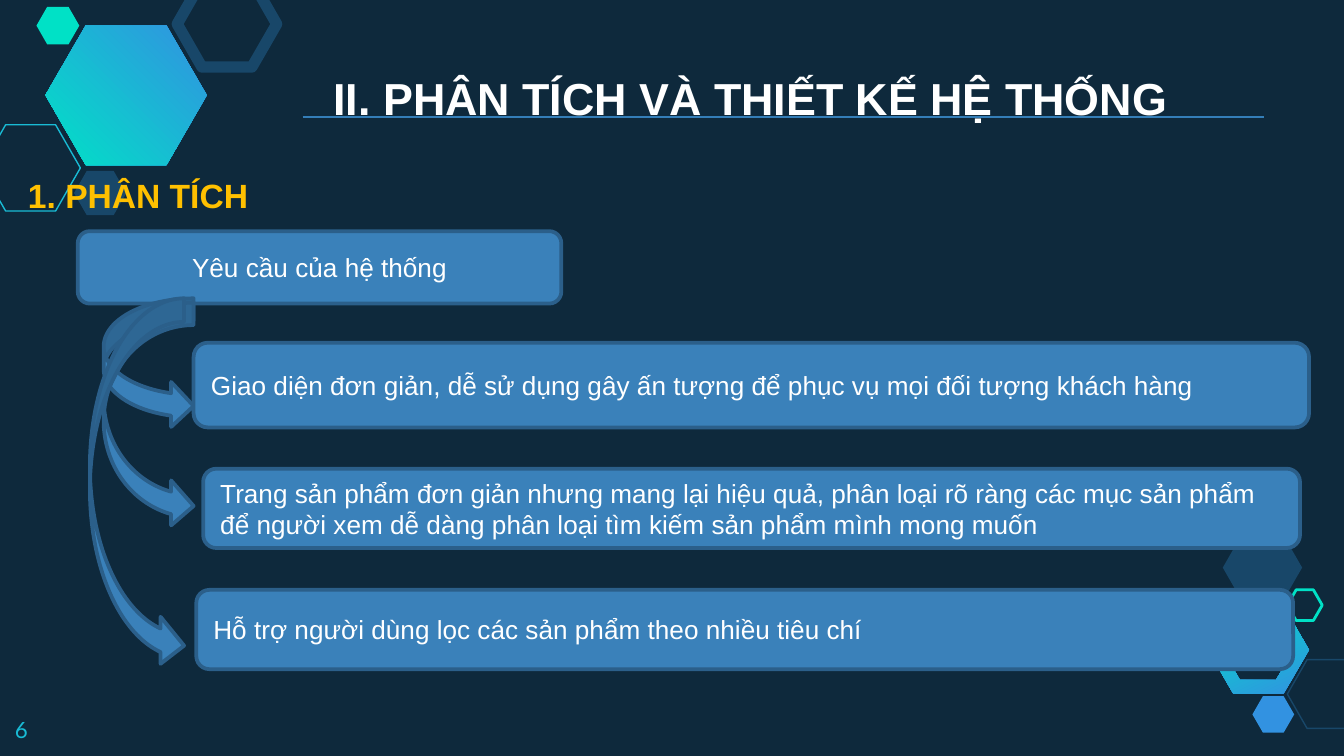
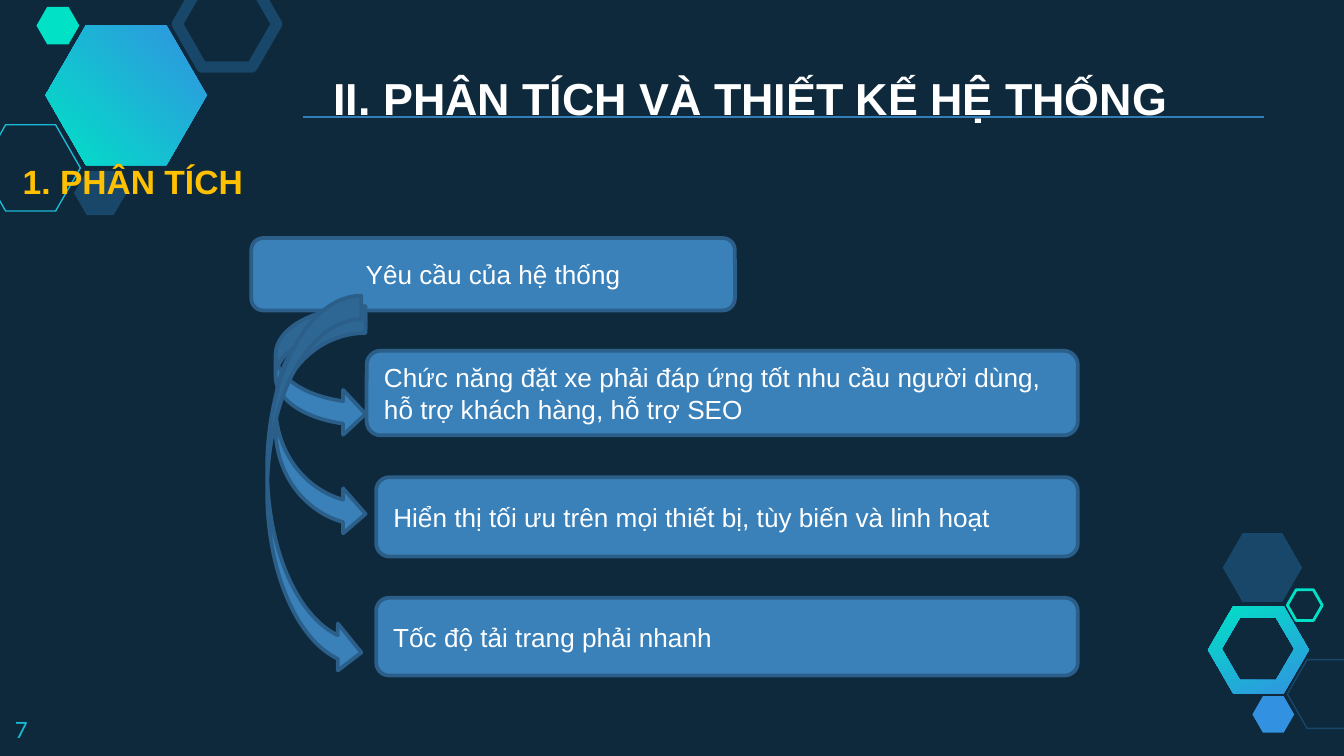
from pptx import Presentation
from pptx.dml.color import RGBColor
from pptx.enum.shapes import MSO_CONNECTOR as CONN, MSO_SHAPE as SHAPE
from pptx.enum.text import MSO_ANCHOR as ANCHOR, MSO_AUTO_SIZE as FIT, PP_ALIGN as ALIGN
from pptx.oxml.ns import qn
from pptx.util import Cm, Pt
from lxml.etree import SubElement

NIGHT = RGBColor(0x0E, 0x29, 0x3C)
NAVY = RGBColor(0x18, 0x47, 0x69)
CYAN = RGBColor(0x19, 0xBB, 0xD5)
MINT = RGBColor(0x00, 0xE1, 0xC6)
SKY = RGBColor(0x32, 0x92, 0xE1)
RULE = RGBColor(0x34, 0x7E, 0xB8)
BOX = RGBColor(0x3A, 0x81, 0xBA)
BOX_EDGE = RGBColor(0x2B, 0x5F, 0x8A)
GOLD = RGBColor(0xFF, 0xC0, 0x00)
WHITE = RGBColor(0xFF, 0xFF, 0xFF)

TITLE = "II. PHÂN TÍCH VÀ THIẾT KẾ HỆ THỐNG"
SECTION = "1. PHÂN TÍCH"
HEADING = "Yêu cầu của hệ thống"

# (left, top, width, height) in cm, fill, line colour, line width
HEXAGONS = [
    ((-0.36, 2.36, 1.88, 1.63), None, CYAN, 0.75),
    ((1.4, 3.23, 0.99, 0.84), NAVY, None, 0),
    ((3.35, -0.36, 1.88, 1.63), None, NAVY, 6),
    ((0.69, 0.13, 0.81, 0.71), MINT, None, 0),
    ((24.33, 12.47, 1.5, 1.3), None, NAVY, 0.75),
    ((23.67, 13.16, 0.79, 0.69), SKY, None, 0),
    ((23.11, 10.08, 1.5, 1.3), NAVY, None, 0),
    ((24.33, 11.15, 0.66, 0.58), None, MINT, 1.5),
]

# Each requirement: arrow place, box place, text
SLIDES = [
    dict(number=6, section=(0.28, 3.18), heading=(1.47, 4.37), requirements=[
        ((1.96, 5.64, 1.7, 2.46), (3.66, 6.48, 21.08, 1.6),
         "Giao diện đơn giản, dễ sử dụng gây ấn tượng để phục vụ mọi đối tượng khách hàng"),
        ((1.96, 5.72, 1.7, 4.27), (3.84, 8.86, 20.73, 1.5),
         "Trang sản phẩm đơn giản nhưng mang lại hiệu quả, phân loại rõ ràng các mục sản phẩm "
         "để người xem dễ dàng phân loại tìm kiếm sản phẩm mình mong muốn"),
        ((1.7, 5.64, 1.78, 7.01), (3.71, 11.15, 20.73, 1.5),
         "Hỗ trợ người dùng lọc các sản phẩm theo nhiều tiêu chí"),
    ]),
    dict(number=7, section=(0.18, 2.92), heading=(4.75, 4.5), requirements=[
        ((5.21, 5.79, 1.7, 2.46), (6.93, 6.63, 13.44, 1.6),
         "Chức năng đặt xe phải đáp ứng tốt nhu cầu người dùng, hỗ trợ khách hàng, hỗ trợ SEO"),
        ((5.21, 5.87, 1.7, 4.27), (7.11, 9.02, 13.26, 1.5),
         "Hiển thị tối ưu trên mọi thiết bị, tùy biến và linh hoạt"),
        ((5.05, 5.59, 1.78, 7.19), (7.11, 11.3, 13.26, 1.47),
         "Tốc độ tải trang phải nhanh"),
    ]),
]


def cm(place):
    return [Cm(v) for v in place]


def hexagon_points(left, top, width, height):
    """Corners of a hexagon whose slanted sides each take a quarter of the width."""
    right, middle, bottom = left + width, top + height / 2, top + height
    return [cm(pt) for pt in (
        (left, middle), (left + width / 4, top), (right - width / 4, top),
        (right, middle), (right - width / 4, bottom), (left + width / 4, bottom))]


class Deck:
    def __init__(self):
        self.prs = Presentation()
        self.prs.slide_width, self.prs.slide_height = Cm(25.4), Cm(14.29)
        fill = self.prs.slide_master.background.fill
        fill.solid()
        fill.fore_color.rgb = NIGHT
        self.s = None

    def new_slide(self, number):
        self.s = self.prs.slides.add_slide(self.prs.slide_layouts[5])
        self.gradient_hexagon(116, (22.83, 11.46, 1.91, 1.65), (23.09, 11.68, 1.37, 1.17))
        self.gradient_hexagon(225, (0.86, 0.48, 3.05, 2.64))
        for place, fill, line, width in HEXAGONS:
            self.shape(SHAPE.HEXAGON, place, fill, line, width).adjustments[0] = 0.287
        tf = self.text((0.03, 13.28, 1.52, 0.99), str(number), 12, CYAN, "Lato").text_frame
        tf.margin_top = tf.margin_bottom = Cm(0.25)
        self.rule(5.72, 23.88, 2.21)
        self.title()

    def set_text(self, tf, text, size, color, font="Arial", bold=False, align=ALIGN.LEFT):
        tf.word_wrap = True
        tf.text = text
        p = tf.paragraphs[0]
        p.alignment = align
        p.font.name, p.font.size, p.font.bold = font, Pt(size), bold
        p.font.color.rgb = color
        return p

    def title(self):
        sp = self.s.shapes.title
        sp.left, sp.top, sp.width, sp.height = cm((6.05, 0.2, 18.16, 2.01))
        tf = sp.text_frame
        tf.auto_size, tf.vertical_anchor = FIT.NONE, ANCHOR.TOP
        self.set_text(tf, TITLE, 24, WHITE, bold=True).line_spacing = 2.0
        self.s.shapes.element.append(sp.element)  # in front of the rule

    def text(self, place, text, size, color, font="Arial", bold=False):
        sp = self.s.shapes.add_textbox(*cm(place))
        self.set_text(sp.text_frame, text, size, color, font, bold)
        return sp

    def section(self, left, top):
        sp = self.text((left, top, 10.08, 1.02), SECTION, 18, GOLD, bold=True)
        sp.text_frame.auto_size = FIT.SHAPE_TO_FIT_TEXT

    def shape(self, kind, place, fill=BOX, line=BOX_EDGE, width=2):
        sp = self.s.shapes.add_shape(kind, *cm(place))
        sp.shadow.inherit = False
        if fill is None:
            sp.fill.background()
        else:
            sp.fill.solid()
            sp.fill.fore_color.rgb = fill
        if line is None:
            sp.line.fill.background()
        else:
            sp.line.color.rgb = line
            sp.line.width = Pt(width)
        return sp

    def box(self, place, text, align=ALIGN.LEFT):
        tf = self.shape(SHAPE.ROUNDED_RECTANGLE, place).text_frame
        tf.vertical_anchor = ANCHOR.MIDDLE
        self.set_text(tf, text, 14, WHITE, align=align)

    def arrow(self, place):
        self.shape(SHAPE.CURVED_RIGHT_ARROW, place)

    def gradient_hexagon(self, angle, outer, hole=None):
        start, *rest = hexagon_points(*outer)
        builder = self.s.shapes.build_freeform(*start)
        builder.add_line_segments(rest)
        if hole:
            start, *rest = reversed(hexagon_points(*hole))
            builder.move_to(*start)
            builder.add_line_segments(rest)
        sp = builder.convert_to_shape()
        sp.shadow.inherit = False
        sp.line.fill.background()
        sp.fill.gradient()
        sp.fill.gradient_angle = angle
        for stop, color in zip(sp.fill.gradient_stops, (SKY, MINT)):
            stop.color.rgb = color

    def rule(self, x1, x2, y):
        c = self.s.shapes.add_connector(CONN.STRAIGHT, *cm((x1, y, x2, y)))
        c.line.color.rgb = RULE
        c.line.width = Pt(1.5)
        SubElement(c.element.spPr, qn("a:effectLst"))


def main():
    deck = Deck()
    for content in SLIDES:
        deck.new_slide(content["number"])
        deck.section(*content["section"])
        deck.box((*content["heading"], 9.14, 1.37), HEADING, ALIGN.CENTER)
        for arrow, box, text in content["requirements"]:
            deck.arrow(arrow)
            deck.box(box, text)
    deck.prs.save("out.pptx")


if __name__ == "__main__":
    main()
